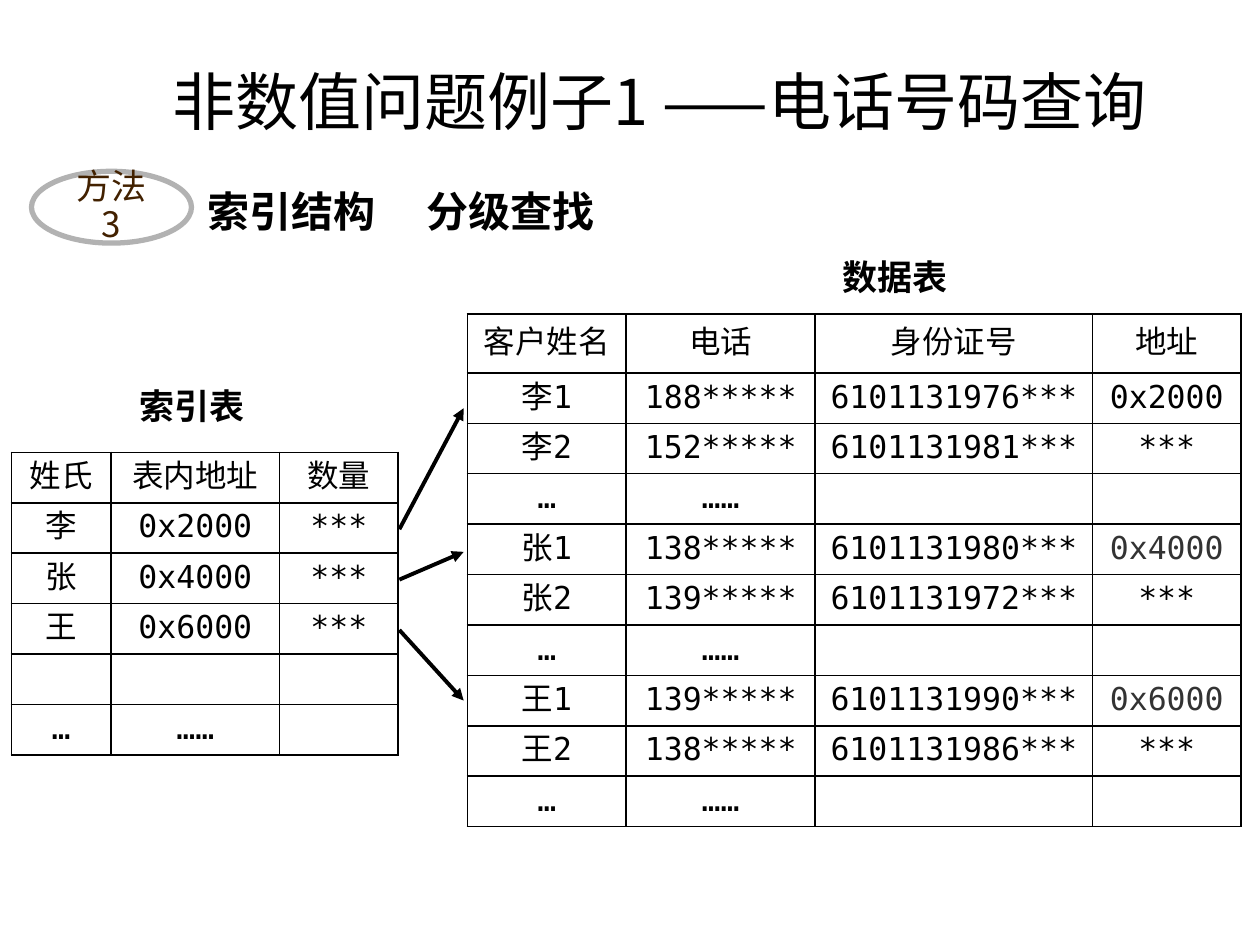
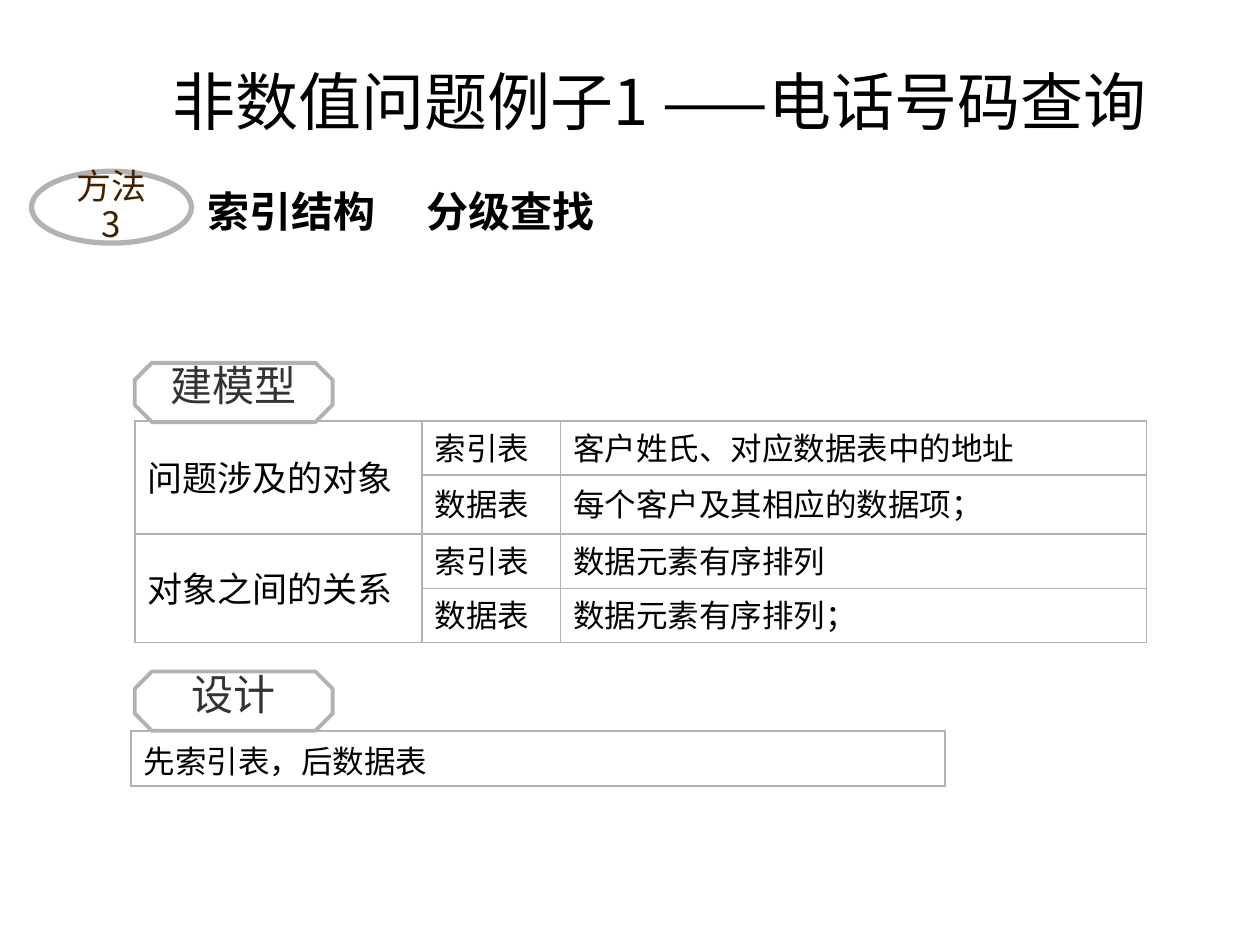
import pptx
import pptx.util
import pptx.dml.color
import pptx.enum.shapes
import pptx.enum.text
import pptx.oxml
import pptx.oxml.ns

PX = 9144  # 100 px to the inch
HUE = {"white": "FFFFFF", "black": "000000", "grey": "B2B2B2",
       "dark": "333333", "brown": "422100"}
MONO, HAN, HEAD, COMIC = "DejaVu Sans Mono", "Noto Sans CJK SC", "Noto Sans CJK JP", "Comic Neue"
LEFT, MID = pptx.enum.text.PP_ALIGN.LEFT, pptx.enum.text.PP_ALIGN.CENTER
TOP, CORE = pptx.enum.text.MSO_ANCHOR.TOP, pptx.enum.text.MSO_ANCHOR.MIDDLE
GROW = pptx.enum.text.MSO_AUTO_SIZE.SHAPE_TO_FIT_TEXT
KIND = pptx.enum.shapes.MSO_SHAPE
RGB = pptx.dml.color.RGBColor.from_string
qn = pptx.oxml.ns.qn
NS = pptx.oxml.ns.nsdecls("a")


def put(frame, text, face, size, hue="black", bold=False, align=LEFT, lead=0.9):
    frame.text = text
    para = frame.paragraphs[0]
    para.alignment, para.line_spacing = align, lead
    for run in para.runs:
        font = run.font
        font.name, font.size, font.bold = face, pptx.util.Pt(size), bold
        font.color.rgb = RGB(HUE[hue])
        east = pptx.oxml.parse_xml(f'<a:ea {NS} typeface="{face}"/>')
        run._r.rPr.find(qn("a:latin")).addnext(east)


def grid(slide, left, top, cols, rows, data, face, line, fill=None,
         align=LEFT, lead=0.9, anchor=CORE, big=(), dim=()):
    table = slide.shapes.add_table(len(rows), len(cols), left * PX, top * PX,
                                   sum(cols) * PX, sum(rows) * PX).table
    table.first_row = table.horz_banding = False
    for col, wide in zip(table.columns, cols):
        col.width = wide * PX
    for row, high, texts in zip(table.rows, rows, data):
        row.height = high * PX
        for num, (cell, text) in enumerate(zip(row.cells, texts)):
            size = 20 if num in big else 18
            put(cell.text_frame, text, face, size, "dark" if text in dim else "black",
                False, align, lead)
            cell.vertical_anchor = anchor
            prop = cell._tc.get_or_add_tcPr()
            for side in "LRTB":
                prop.append(pptx.oxml.parse_xml(
                    f'<a:ln{side} {NS} w="12700"><a:solidFill><a:srgbClr val="{HUE[line]}"/>'
                    f'</a:solidFill></a:ln{side}>'))
            if fill:
                cell.fill.solid()
                cell.fill.fore_color.rgb = RGB(HUE[fill])
            else:
                cell.fill.background()
    return table


deck = pptx.Presentation()
deck.slide_width, deck.slide_height = 1000 * PX, 750 * PX

# Shared heading: title, method badge, subject
pages = []
for wide in (371, 402):
    slide = deck.slides.add_slide(deck.slide_layouts[5])
    pages.append(slide)
    title = slide.shapes.title
    title.left, title.top, title.width, title.height = 106 * PX, 44 * PX, 835 * PX, 71 * PX
    put(title.text_frame, "非数值问题例子1 ——电话号码查询", HEAD, 36, align=MID, lead=1.0)
    title.text_frame.auto_size = GROW

    topic = slide.shapes.add_textbox(153 * PX, 133 * PX, wide * PX, 61 * PX)
    topic.fill.solid()
    topic.fill.fore_color.rgb = RGB(HUE["white"])
    frame = topic.text_frame
    put(frame, "索引结构  分级查找", MONO, 24, bold=True, lead=1.2)
    frame.margin_left = frame.margin_right = 12 * PX
    frame.margin_top = frame.margin_bottom = 6 * PX
    frame.word_wrap, frame.auto_size = True, GROW

    badge = slide.shapes.add_shape(KIND.OVAL, 25 * PX, 136 * PX, 127 * PX, 57 * PX)
    badge.shadow.inherit = False
    badge.fill.solid()
    badge.fill.fore_color.rgb = RGB(HUE["white"])
    badge.line.color.rgb = RGB(HUE["grey"])
    badge.line.width = pptx.util.Pt(3)
    frame = badge.text_frame
    put(frame, "方法3", HAN, 20, "brown", align=MID)
    frame.vertical_anchor = CORE
    frame.word_wrap, frame.auto_size = False, GROW

look, model = pages

# Data table and index table
gap = ("…", "……", "", "")
data = [
    ("客户姓名", "电话", "身份证号", "地址"),
    ("李1", "188*****", "6101131976***", "0x2000"),
    ("李2", "152*****", "6101131981***", "***"),
    gap,
    ("张1", "138*****", "6101131980***", "0x4000"),
    ("张2", "139*****", "6101131972***", "***"),
    gap,
    ("王1", "139*****", "6101131990***", "0x6000"),
    ("王2", "138*****", "6101131986***", "***"),
    gap,
]
index = [
    ("姓氏", "表内地址", "数量"),
    ("李", "0x2000", "***"),
    ("张", "0x4000", "***"),
    ("王", "0x6000", "***"),
    ("", "", ""),
    gap[:3],
]
grid(look, 371, 249, (126, 150, 220, 118), [47] + [40] * 9, data, MONO, "black",
     "white", MID, dim=("0x4000", "0x6000"))
grid(look, 9, 359, (79, 134, 94), [40] * 6, index, MONO, "black", "white", MID)

# Table captions
for text, left, top in (("索引表", 101, 304), ("数据表", 659, 202)):
    label = look.shapes.add_textbox(left * PX, top * PX, 105 * PX, 41 * PX)
    put(label.text_frame, text, MONO, 20, bold=True)
    label.text_frame.word_wrap = False
    label.text_frame.auto_size = GROW

# Arrows from index rows to data rows
for num, end in enumerate((324, 438, 556)):
    arrow = look.shapes.add_connector(pptx.enum.shapes.MSO_CONNECTOR.STRAIGHT,
                                      317 * PX, (420 + 40 * num) * PX, 368 * PX, end * PX)
    arrow.line.color.rgb = RGB(HUE["black"])
    arrow.line.width = pptx.util.Pt(2.25)
    arrow.line._get_or_add_ln().append(pptx.oxml.parse_xml(f'<a:tailEnd {NS} type="triangle"/>'))
    arrow._element.spPr.append(pptx.oxml.parse_xml(f"<a:effectLst {NS}/>"))

# Model table and design table
facts = [
    ("问题涉及的对象", "索引表", "客户姓氏、对应数据表中的地址"),
    ("", "数据表", "每个客户及其相应的数据项；"),
    ("对象之间的关系", "索引表", "数据元素有序排列"),
    ("", "数据表", "数据元素有序排列；"),
]
table = grid(model, 107, 334, (228, 110, 465), (43, 47, 43, 43), facts, HAN, "grey", big=(0,))
for row in (0, 2):
    table.cell(row, 0).merge(table.cell(row + 1, 0))
grid(model, 104, 580, (646,), (44,), [("先索引表，后数据表",)], HAN, "grey", "white",
     lead=1.0, anchor=TOP)

# Section tabs above the tables
for text, top, fill in (("建模型", 288, None), ("设计", 533, "white")):
    tab = model.shapes.add_shape(KIND.OCTAGON, 107 * PX, top * PX, 157 * PX, 47 * PX)
    tab.adjustments[0] = 0.29
    tab.shadow.inherit = False
    if fill:
        tab.fill.solid()
        tab.fill.fore_color.rgb = RGB(HUE[fill])
    else:
        tab.fill.background()
    tab.line.color.rgb = RGB(HUE["grey"])
    tab.line.width = pptx.util.Pt(2.25)
    frame = tab.text_frame
    put(frame, text, COMIC, 24, "dark", align=MID, lead=0.6)
    frame.vertical_anchor = CORE
    frame.word_wrap, frame.auto_size = True, GROW

deck.save("out.pptx")
